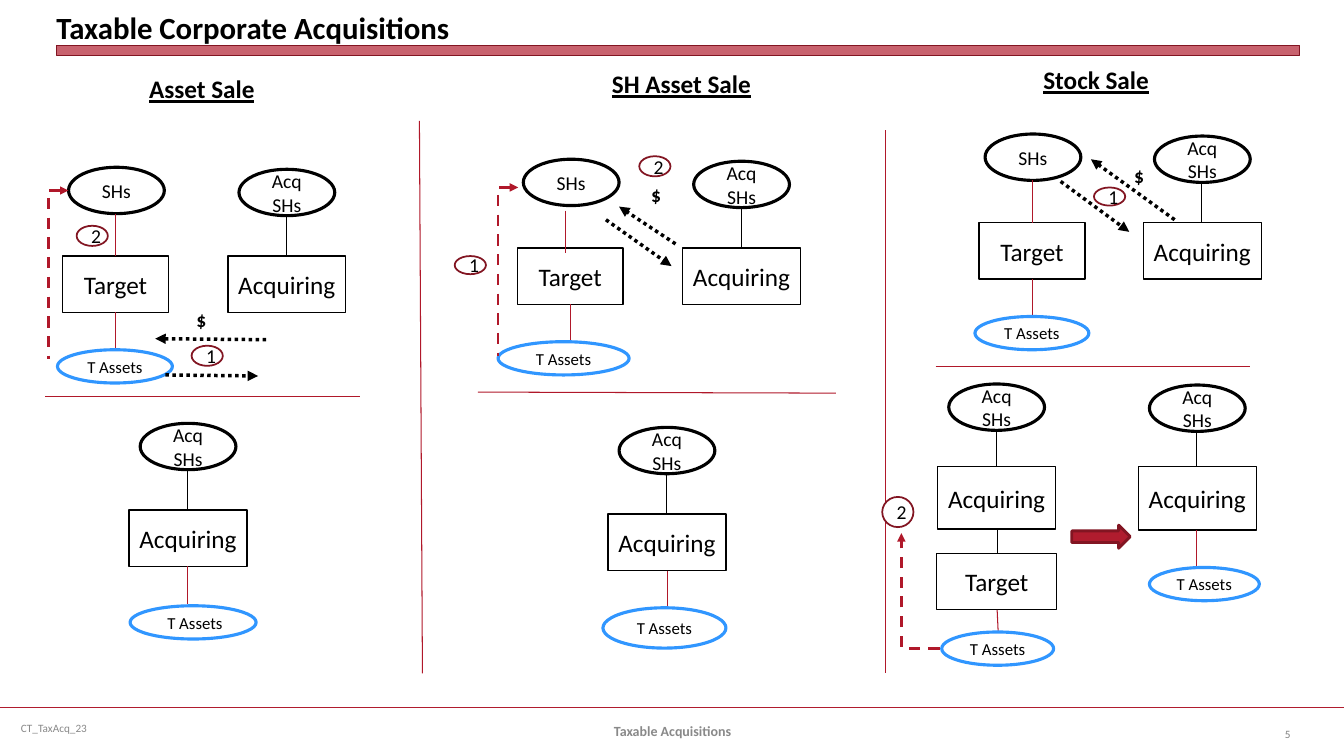
from pptx import Presentation
from pptx.dml.color import RGBColor as Rgb
from pptx.enum.dml import MSO_LINE as Dash
from pptx.enum.shapes import MSO_CONNECTOR as Conn, MSO_SHAPE as Kind
from pptx.enum.text import MSO_ANCHOR as Anchor, MSO_AUTO_SIZE as Auto, PP_ALIGN as Align
from pptx.oxml.ns import qn
from pptx.util import Inches, Pt
from lxml.etree import SubElement as Sub

HUES = {"ink": "000000", "white": "FFFFFF", "bar": "B01C2E", "red": "B0182A",
        "edge": "821522", "blue": "3096FF", "foot": "898989", "num": "808080"}


def hue(name):
    """Turn a colour name into an RGB value."""
    return Rgb.from_string(HUES[name])


def write(frame, text, size, tint="ink", align=Align.LEFT, bold=False, line=False):
    """Fill a text frame, one paragraph for each line of text."""
    for at, part in enumerate(text.split("\n")):
        para = frame.paragraphs[0] if at == 0 else frame.add_paragraph()
        para.alignment = align
        run = para.add_run()
        run.text = part
        font = run.font
        font.name, font.size, font.bold = "Calibri", Pt(size), bold
        font.underline = line
        font.color.rgb = hue(tint)


def label(slide, text, box, size, wrap=False, anchor=Anchor.TOP, **style):
    """Add a text box; an unwrapped one fits its text."""
    frame = slide.shapes.add_textbox(*map(Inches, box)).text_frame
    frame.word_wrap = wrap
    frame.auto_size = Auto.NONE if wrap else Auto.SHAPE_TO_FIT_TEXT
    frame.vertical_anchor = anchor
    write(frame, text, size, **style)


def shape(slide, kind, box, edge, width, fill=None, text="", size=14):
    """Add an outlined shape with centred text."""
    item = slide.shapes.add_shape(kind, *map(Inches, box))
    item.shadow.inherit = False
    item.line.color.rgb, item.line.width = hue(edge), Pt(width)
    if fill:
        item.fill.solid()
        item.fill.fore_color.rgb = hue(fill)
    else:
        item.fill.background()
    if text:
        item.text_frame.vertical_anchor = Anchor.MIDDLE
        write(item.text_frame, text, size, align=Align.CENTER)
    return item


def firm(slide, text, box):
    """Add a company box."""
    shape(slide, Kind.RECTANGLE, box, "ink", 1, text=text, size=18)


def owner(slide, text, x, y):
    """Add a shareholder oval."""
    shape(slide, Kind.OVAL, (x, y, 0.95, 0.46), "ink", 2.25, text=text)


def assets(slide, x, y, wide, high=0.33, text="T Assets"):
    """Add a blue asset oval."""
    shape(slide, Kind.OVAL, (x, y, wide, high), "blue", 2.25, text=text, size=12)


def badge(slide, text, x, y, high=0.2):
    """Add a step number in a small oval."""
    shape(slide, Kind.OVAL, (x, y, 0.31, high), "edge", 1.25, "white", text)


def link(slide, ends, tint="red", width=0.75, dash=None, tip=None, kind=Conn.STRAIGHT):
    """Add a line; tip is headEnd or tailEnd for an arrow."""
    wire = slide.shapes.add_connector(kind, *map(Inches, ends))
    wire.line.color.rgb, wire.line.width = hue(tint), Pt(width)
    if dash:
        wire.line.dash_style = dash
    props = wire._element.spPr
    if tip:
        Sub(props.find(qn("a:ln")), qn("a:" + tip), type="triangle")
    Sub(props, qn("a:effectLst"))
    return wire


def flow(slide, *ends):
    """Add a dotted black arrow for an exchange."""
    link(slide, ends, "ink", 2.5, Dash.ROUND_DOT, "tailEnd")


def bend(slide, ends, tip):
    """Add a dashed red one-corner arrow, level leg first."""
    wire = link(slide, ends, "red", 2, Dash.DASH, tip, Conn.ELBOW)
    wire._element.spPr.find(qn("a:prstGeom")).set("prst", "bentConnector2")


def buyer(slide, x, y, text="Acq\nSHs", high=0.56, gap=0.4):
    """Add the acquiring firm with its owners above."""
    owner(slide, text, x + 0.11, y - gap - 0.46)
    link(slide, (x + 0.58, y - gap, x + 0.58, y), "ink")
    firm(slide, "Acquiring", (x, y, 1.17, high))


def target(slide, x, y, left, wide, dx=0, dy=0):
    """Add the target with its owners above and assets below."""
    owner(slide, "SHs", x + 0.06, y - 0.88)
    firm(slide, "Target", (x, y, 1.05, 0.56))
    mid = x + 0.53
    link(slide, (mid + dx, y - 0.42 + dy, mid + dx, y + dy))
    link(slide, (mid, y + 0.56, mid, y + 0.93))
    assets(slide, left, y + 0.93, wide)


def frame(slide):
    """Add the title, bars, footer, headings and dividers."""
    link(slide, (0, 7.02, 13.33, 7.02), "bar", 1.25)
    bar = shape(slide, Kind.RECTANGLE, (0.56, 0.45, 12.33, 0.1), "edge", 0, "bar")
    tone = bar._element.spPr.find(qn("a:solidFill"))[0]
    Sub(tone, qn("a:alpha"), val="69000")

    title = slide.shapes.title
    title.left, title.top, title.width, title.height = map(Inches, (0.56, 0.05, 12.33, 0.4))
    body = title.text_frame
    body.margin_left = body.margin_right = body.margin_top = body.margin_bottom = 0
    body.vertical_anchor, body.auto_size = Anchor.BOTTOM, Auto.NONE
    write(body, "Taxable Corporate Acquisitions", 22, bold=True)

    for text, box, size, style in (
            ("CT_TaxAcq_23", (0.11, 7.02, 3.44, 0.4), 8, {"tint": "foot"}),
            ("Taxable Acquisitions", (4.56, 7.05, 4.22, 0.4), 10,
             {"tint": "foot", "align": Align.CENTER, "bold": True}),
            ("5", (12.23, 7.08, 0.67, 0.4), 8, {"tint": "num", "align": Align.RIGHT})):
        label(slide, text, box, size, True, Anchor.MIDDLE, **style)

    for text, x, y, wide in (("Asset Sale", 1.38, 0.68, 1.26),
                             ("SH Asset Sale", 5.97, 0.63, 1.65),
                             ("Stock Sale", 10.25, 0.59, 1.26)):
        label(slide, text, (x, y, wide, 0.4), 18, bold=True, line=True)

    for ends in ((4.16, 1.2, 4.19, 6.68), (8.78, 1.29, 8.78, 6.68),
                 (0.45, 3.93, 3.57, 3.93), (4.74, 3.89, 8.29, 3.9),
                 (9.28, 3.64, 12.4, 3.64)):
        link(slide, ends)


def cash(slide, x, y):
    """Add a dollar sign."""
    label(slide, "$", (x, y, 0.3, 0.34), 14, bold=True)


def asset_sale(slide):
    """Draw the asset sale, before and after."""
    target(slide, 0.62, 2.54, 0.57, 1.14)
    buyer(slide, 2.26, 2.54, "Acq SHs")
    flow(slide, 2.64, 3.37, 1.54, 3.36)
    flow(slide, 1.64, 3.72, 2.56, 3.73)
    bend(slide, (0.68, 1.89, 0.48, 3.56), "headEnd")
    badge(slide, "1", 1.9, 3.43)
    badge(slide, "2", 0.76, 2.24)
    cash(slide, 1.85, 3.01)
    buyer(slide, 1.28, 5.06)
    link(slide, (1.86, 5.62, 1.86, 5.99))
    assets(slide, 1.29, 6.01, 1.25, text=" T Assets")


def holder_sale(slide):
    """Draw the shareholder asset sale, before and after."""
    target(slide, 5.13, 2.46, 4.94, 1.3, -0.05, 0.05)
    buyer(slide, 6.77, 2.46, "Acq SHs")
    flow(slide, 6.01, 2.18, 6.66, 2.64)
    flow(slide, 6.7, 2.42, 6.14, 2.05)
    bend(slide, (5.14, 1.86, 4.94, 3.53), "headEnd")
    badge(slide, "1", 4.51, 2.54, 0.18)
    badge(slide, "2", 6.34, 1.55)
    cash(slide, 6.36, 1.77)
    buyer(slide, 6.03, 5.1)
    link(slide, (6.62, 5.66, 6.62, 6.03))
    assets(slide, 5.98, 6.03, 1.22, 0.4)


def stock_sale(slide):
    """Draw the stock sale, before, between and after."""
    target(slide, 9.71, 2.21, 9.67, 1.13)
    buyer(slide, 11.34, 2.21)
    flow(slide, 10.52, 1.8, 11.2, 2.3)
    flow(slide, 11.65, 2.18, 10.82, 1.58)
    badge(slide, "1", 10.85, 1.86, 0.18)
    cash(slide, 11.15, 1.58)
    buyer(slide, 9.3, 4.63, high=0.62, gap=0.36)
    link(slide, (9.89, 5.25, 9.89, 5.49), "ink")
    firm(slide, "Target", (9.29, 5.49, 1.19, 0.56))
    link(slide, (9.89, 6.05, 9.9, 6.27))
    assets(slide, 9.34, 6.27, 1.11)
    bend(slide, (9.32, 6.43, 8.94, 5.29), "tailEnd")
    badge(slide, "2", 8.75, 4.93, 0.3)
    shape(slide, Kind.RIGHT_ARROW, (10.63, 5.21, 0.58, 0.23), "edge", 2, "bar")
    buyer(slide, 11.29, 4.63, high=0.63, gap=0.35)
    link(slide, (11.87, 5.26, 11.87, 5.63))
    assets(slide, 11.4, 5.63, 1.09)


def main():
    """Build and save the slide."""
    deck = Presentation()
    deck.slide_width, deck.slide_height = Inches(13.33), Inches(7.5)
    slide = deck.slides.add_slide(deck.slide_layouts[5])
    for draw in (frame, asset_sale, holder_sale, stock_sale):
        draw(slide)
    deck.save("out.pptx")


main()
